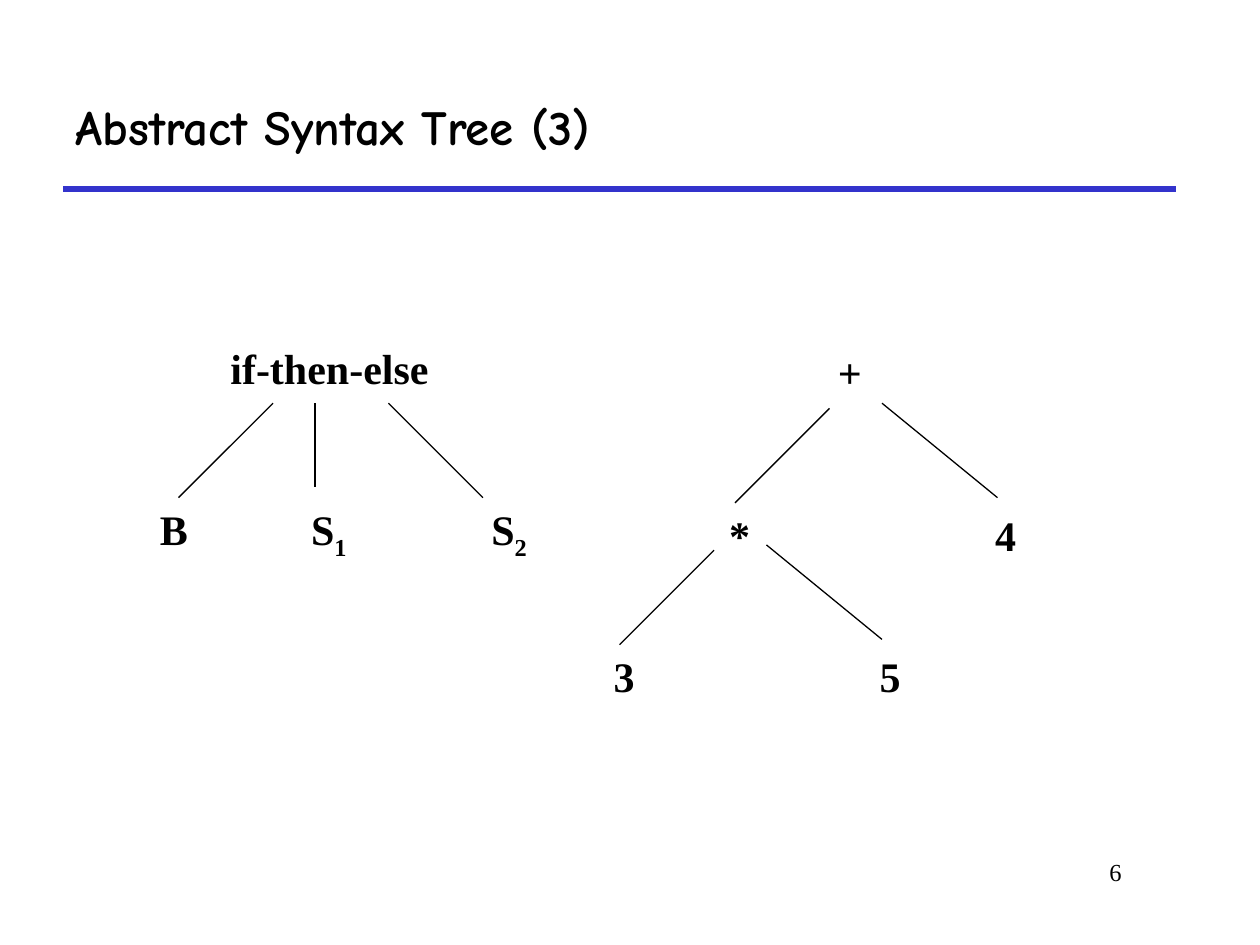
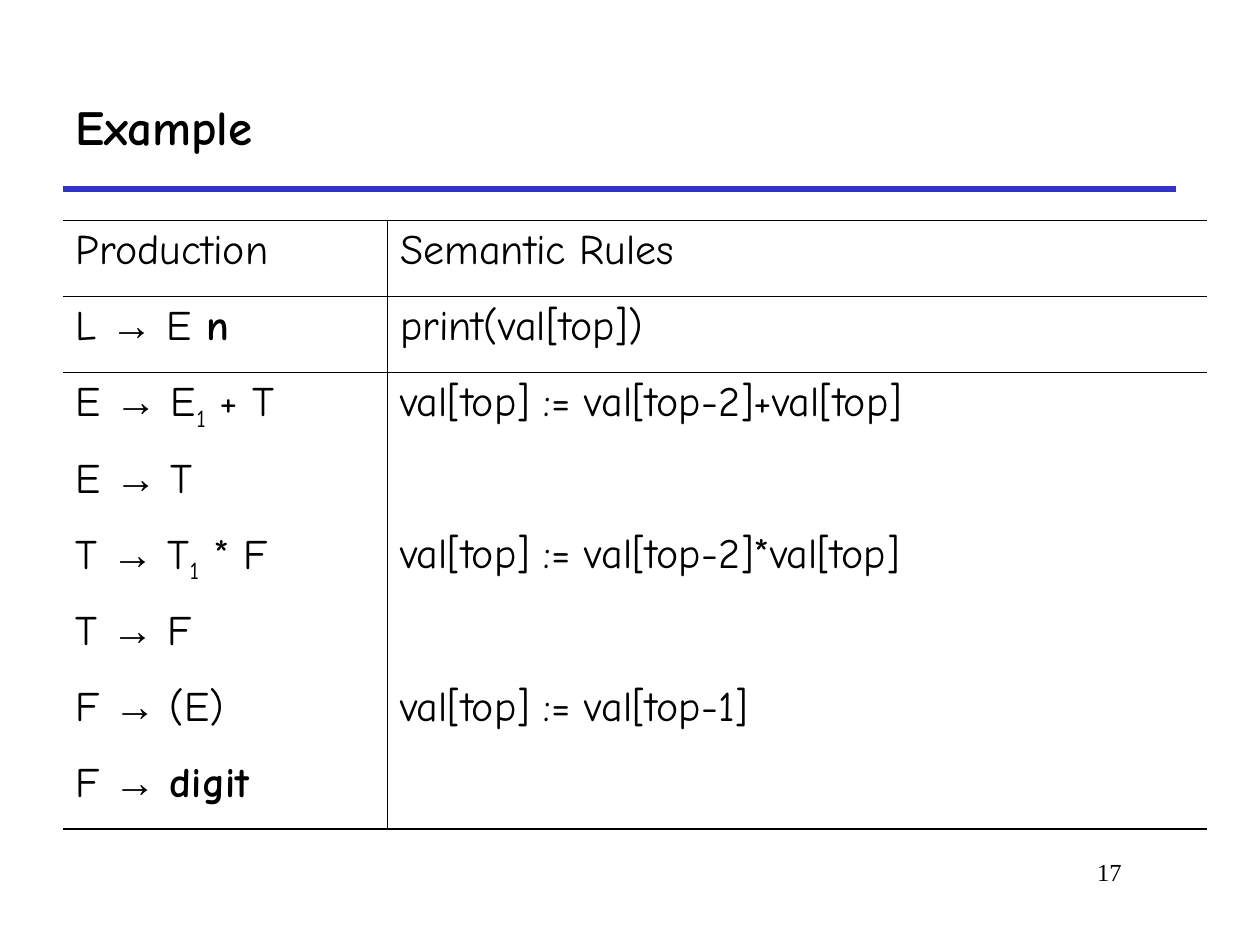
import dataclasses

import lxml.etree
import pptx
import pptx.dml.color
import pptx.enum.shapes
import pptx.enum.text
import pptx.oxml.ns
import pptx.util

Pt = pptx.util.Pt
Align = pptx.enum.text.PP_ALIGN
Anchor = pptx.enum.text.MSO_ANCHOR
Fit = pptx.enum.text.MSO_AUTO_SIZE
qn = pptx.oxml.ns.qn


@dataclasses.dataclass(frozen=True)
class Theme:
    ink: str = "000000"
    rule: str = "3333CC"
    display: str = "Comic Neue"
    body: str = "Times New Roman"
    symbol: str = "Arial"
    title_size: float = 28
    text_size: float = 24
    number_size: float = 14
    rule_width: float = 3
    branch_width: float = 0.75
    outer_border: float = 1.08
    inner_border: float = 0.45


THEME = Theme()
TITLE = {"name": THEME.display, "size": Pt(THEME.title_size), "bold": True}
NUMBER = {"name": THEME.body, "size": Pt(THEME.number_size), "bold": False}
NODE = {"name": THEME.body, "size": Pt(THEME.text_size), "bold": True}
CELL = {"name": THEME.display, "size": Pt(THEME.text_size), "bold": False}
VARIANTS = {
    "plain": {},
    "sub": {},
    "bold": {"bold": True},
    "arrow": {"name": THEME.symbol},
}
NO_TABLE_STYLE = "{2D5ABB26-0587-4C30-8999-92F81FD0307C}"

GRAMMAR = [
    ("L", [(" E ", "plain"), ("n", "bold")], "print(val[top])"),
    ("E", [(" E", "plain"), ("1", "sub"), (" + T", "plain")],
     "val[top] := val[top-2]+val[top]"),
    ("E", [(" T", "plain")], ""),
    ("T", [(" T", "plain"), ("1", "sub"), (" * F", "plain")],
     "val[top] := val[top-2]*val[top]"),
    ("T", [(" F", "plain")], ""),
    ("F", [(" (E)", "plain")], "val[top] := val[top-1]"),
    ("F", [(" ", "plain"), ("digit", "bold")], ""),
]


def apply_format(target, values):
    for attribute, value in values.items():
        setattr(target, attribute, value)


def write_runs(paragraph, runs, font_values):
    for words, variant in runs:
        run = paragraph.add_run()
        run.text = words
        apply_format(run.font, {**font_values, **VARIANTS[variant]})
        run.font.color.rgb = pptx.dml.color.RGBColor.from_string(THEME.ink)
        if variant == "sub":
            run._r.get_or_add_rPr().set("baseline", "-25000")


def add_line(slide, start, end, color, width):
    line = slide.shapes.add_connector(
        pptx.enum.shapes.MSO_CONNECTOR.STRAIGHT,
        *(Pt(value) for value in (*start, *end)))
    line.line.color.rgb = pptx.dml.color.RGBColor.from_string(color)
    line.line.width = Pt(width)
    lxml.etree.SubElement(line._element.spPr, qn("a:effectLst"))


def add_label(slide, box, runs, font_values, frame_values, paragraph_values):
    label = slide.shapes.add_textbox(*(Pt(value) for value in box))
    apply_format(label.text_frame, frame_values)
    paragraph = label.text_frame.paragraphs[0]
    apply_format(paragraph, paragraph_values)
    write_runs(paragraph, runs, font_values)


def add_titled_slide(deck, heading, number):
    slide = deck.slides.add_slide(deck.slide_layouts[5])
    left, top, width, height = 36, 36, 636, 72
    title = slide.shapes.title
    apply_format(title, {"left": Pt(left), "top": Pt(top),
                         "width": Pt(width), "height": Pt(height)})
    apply_format(title.text_frame, {"vertical_anchor": Anchor.MIDDLE,
                                    "word_wrap": True, "auto_size": Fit.NONE})
    paragraph = title.text_frame.paragraphs[0]
    paragraph.alignment = Align.LEFT
    write_runs(paragraph, [(heading, "plain")], TITLE)
    add_line(slide, (left, top + height), (left + width, top + height),
             THEME.rule, THEME.rule_width)
    add_label(slide, (498, 486, 150, 36), [(str(number), "plain")], NUMBER,
              {"word_wrap": True}, {"alignment": Align.RIGHT})
    return slide


def add_node(slide, center, top, width, name, index=""):
    runs = [(name, "plain")] + ([(index, "sub")] if index else [])
    height = 40 if index else 36
    add_label(slide, (center - width / 2, top, width, height), runs, NODE,
              {"word_wrap": False, "auto_size": Fit.SHAPE_TO_FIT_TEXT},
              {"alignment": Align.CENTER, "space_before": Pt(15)})


def add_branch(slide, start, reach):
    end = (start[0] + reach[0], start[1] + reach[1])
    add_line(slide, start, end, THEME.ink, THEME.branch_width)


def add_conditional_tree(slide, left, top):
    add_node(slide, left + 104.3, top, 127.5, "if-then-else")
    children = [(15.3, 30, "B", ""), (103.9, 34.5, "S", "1"),
                (206.9, 34.5, "S", "2")]
    for center, width, name, index in children:
        add_node(slide, left + center, top + 92.3, width, name, index)
    for start, reach in [(72, (-54, 54)), (96, (0, 48)), (138, (54, 54))]:
        add_branch(slide, (left + start, top + 38.4), reach)


def add_fork(slide, apex, children):
    x, y = apex
    add_branch(slide, (x, y), (-54, 54))
    add_branch(slide, (x + 30, y - 3), (66, 54))
    for name, offset in zip(children, (-51.5, 100.5)):
        add_node(slide, x + offset, y + 54, 26, name)


def add_expression_tree(slide, left, top):
    apex = (left + 132, top + 39)
    add_node(slide, apex[0] + 11.6, top, 28, "+")
    add_fork(slide, apex, ("*", "4"))
    add_fork(slide, (apex[0] - 66, apex[1] + 81), ("3", "5"))


def set_borders(cell, widths):
    properties = cell._tc.get_or_add_tcPr()
    for side in "LRTB":
        if side in widths:
            border = lxml.etree.SubElement(
                properties, qn(f"a:ln{side}"), w=str(int(Pt(widths[side]))))
            fill = lxml.etree.SubElement(border, qn("a:solidFill"))
            lxml.etree.SubElement(fill, qn("a:srgbClr"), val=THEME.ink)


def add_rules_table(slide, left, top, width, height):
    rows = [([("Production", "plain")], [("Semantic Rules", "plain")])]
    for head, body, action in GRAMMAR:
        production = [(head + " ", "plain"), ("→", "arrow"), *body]
        rows.append((production, [(action, "plain")] if action else []))
    last = len(rows) - 1
    table = slide.shapes.add_table(
        len(rows), 2, Pt(left), Pt(top), Pt(width), Pt(height)).table
    apply_format(table, {"first_row": False, "horz_banding": False})
    table._tbl.tblPr.find(qn("a:tableStyleId")).text = NO_TABLE_STYLE
    production_width = 185.5
    table.columns[0].width = Pt(production_width)
    table.columns[1].width = Pt(width - production_width)
    for r, row in enumerate(rows):
        table.rows[r].height = Pt(height / len(rows))
        for c, runs in enumerate(row):
            cell = table.cell(r, c)
            widths = {"R" if c == 0 else "L": THEME.inner_border}
            if r <= 1:
                widths["T"] = THEME.inner_border if r else THEME.outer_border
            if r in (0, last):
                widths["B"] = THEME.outer_border if r else THEME.inner_border
            set_borders(cell, widths)
            cell.fill.background()
            apply_format(cell, {"margin_left": Pt(7.2), "margin_right": Pt(7.2),
                                "margin_top": Pt(3.6), "margin_bottom": Pt(3.6)})
            paragraph = cell.text_frame.paragraphs[0]
            paragraph.space_before = Pt(6)
            write_runs(paragraph, runs, CELL)


def main():
    deck = pptx.Presentation()
    apply_format(deck, {"slide_width": Pt(720), "slide_height": Pt(540)})

    trees = add_titled_slide(deck, "Abstract Syntax Tree (3)", 6)
    add_conditional_tree(trees, 84, 192)
    add_expression_tree(trees, 342, 194.4)

    example = add_titled_slide(deck, "Example", 17)
    add_rules_table(example, 36, 126, 654, 348)

    deck.save("out.pptx")


if __name__ == "__main__":
    main()
